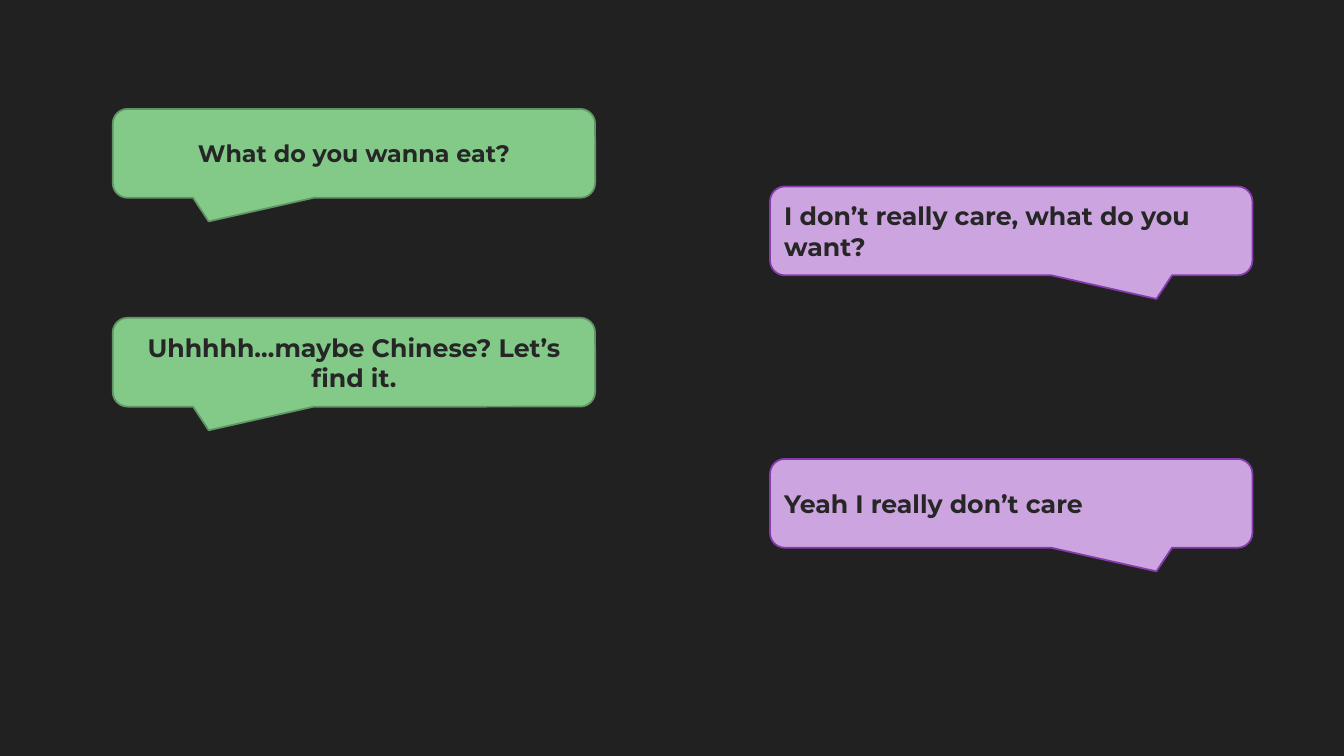
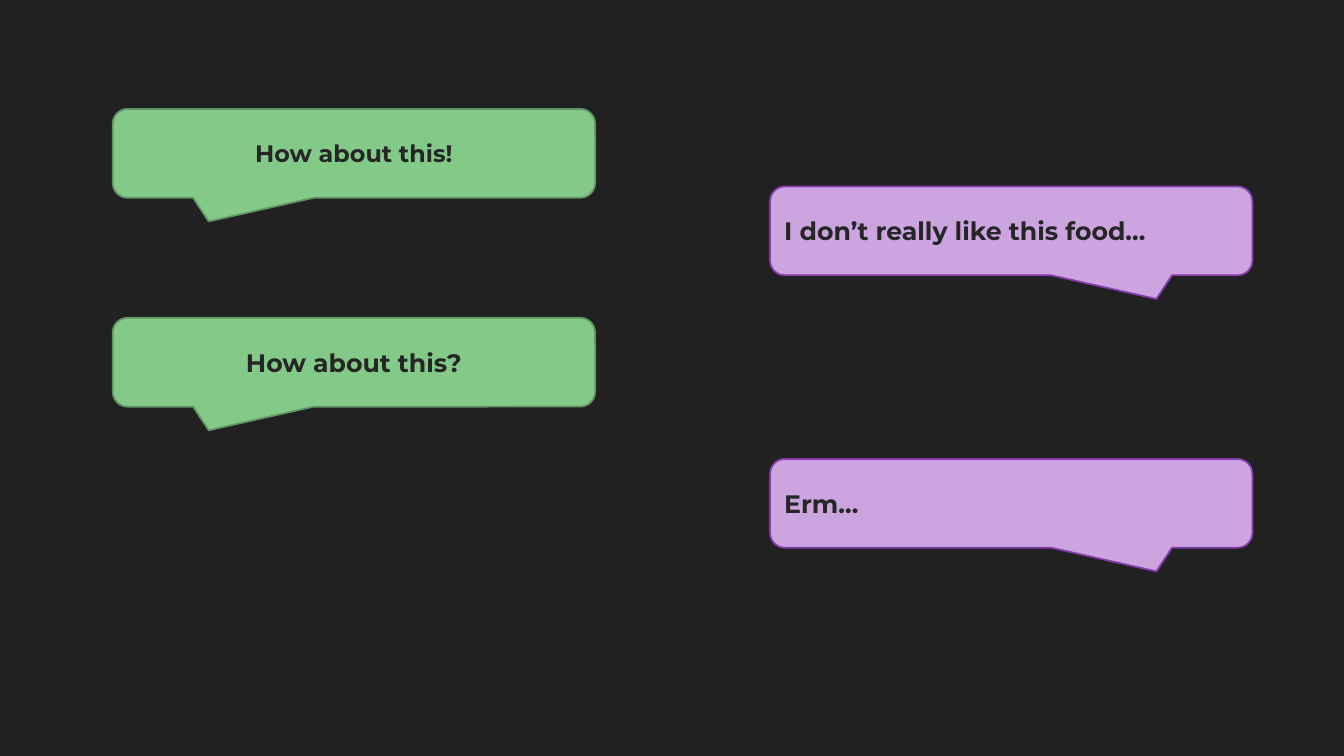
from dataclasses import dataclass

from pptx import Presentation
from pptx.dml.color import RGBColor as RGB
from pptx.enum.shapes import MSO_SHAPE as Shape
from pptx.enum.text import MSO_ANCHOR as Anchor, PP_ALIGN as Align
from pptx.util import Pt


@dataclass(frozen=True)
class Theme:
    back: RGB = RGB(0x21, 0x21, 0x21)
    ink: RGB = RGB(0x26, 0x26, 0x26)
    green: RGB = RGB(0x83, 0xCA, 0x89)
    moss: RGB = RGB(0x61, 0x95, 0x65)
    lilac: RGB = RGB(0xCB, 0xA4, 0xE0)
    plum: RGB = RGB(0x85, 0x3B, 0xAB)
    font: str = "Montserrat"
    small: float = 17
    size: float = 18
    edge: float = 1.25


@dataclass(frozen=True)
class Voice:
    """The look and column of one speaker; tail is the tip's offset from the centre."""
    left: float
    tail: float
    fill: RGB
    line: RGB
    align: Align


THEME = Theme()
WIDE, HIGH = 344.6, 63.5
ASKER = Voice(80.5, -0.301, THEME.green, THEME.moss, Align.CENTER)
REPLY = Voice(550, 0.301, THEME.lilac, THEME.plum, Align.LEFT)

# Speaker, top and type size of each bubble, the same on every slide
SPOTS = [
    (ASKER, 77.8, THEME.small),
    (ASKER, 227, THEME.size),
    (REPLY, 133.2, THEME.size),
    (REPLY, 327.8, THEME.size),
]

CHATS = [
    [
        "What do you wanna eat?",
        "Uhhhhh…maybe Chinese? Let’s find it.",
        "I don’t really care, what do you want?",
        "Yeah I really don’t care",
    ],
    [
        "How about this!",
        "How about this?",
        "I don’t really like this food…",
        "Erm…",
    ],
]


def add_text(frame, text, size, align):
    frame.word_wrap = True
    frame.vertical_anchor = Anchor.MIDDLE
    para = frame.paragraphs[0]
    para.alignment = align
    run = para.add_run()
    run.text = text
    font = run.font
    font.name = THEME.font
    font.size = Pt(size)
    font.bold = True
    font.color.rgb = THEME.ink


def add_bubble(slide, voice, top, size, text):
    bubble = slide.shapes.add_shape(
        Shape.ROUNDED_RECTANGULAR_CALLOUT,
        Pt(voice.left), Pt(top), Pt(WIDE), Pt(HIGH))
    for i, value in enumerate((voice.tail, 0.766, 0.167)):
        bubble.adjustments[i] = value
    bubble.shadow.inherit = False
    bubble.fill.solid()
    bubble.fill.fore_color.rgb = voice.fill
    bubble.line.color.rgb = voice.line
    bubble.line.width = Pt(THEME.edge)
    add_text(bubble.text_frame, text, size, voice.align)


def add_chat(deck, texts):
    slide = deck.slides.add_slide(deck.slide_layouts[6])
    for (voice, top, size), text in zip(SPOTS, texts):
        add_bubble(slide, voice, top, size, text)


def main():
    deck = Presentation()
    deck.slide_width, deck.slide_height = Pt(960), Pt(540)
    fill = deck.slide_master.background.fill
    fill.solid()
    fill.fore_color.rgb = THEME.back
    for texts in CHATS:
        add_chat(deck, texts)
    deck.save("out.pptx")


if __name__ == "__main__":
    main()
